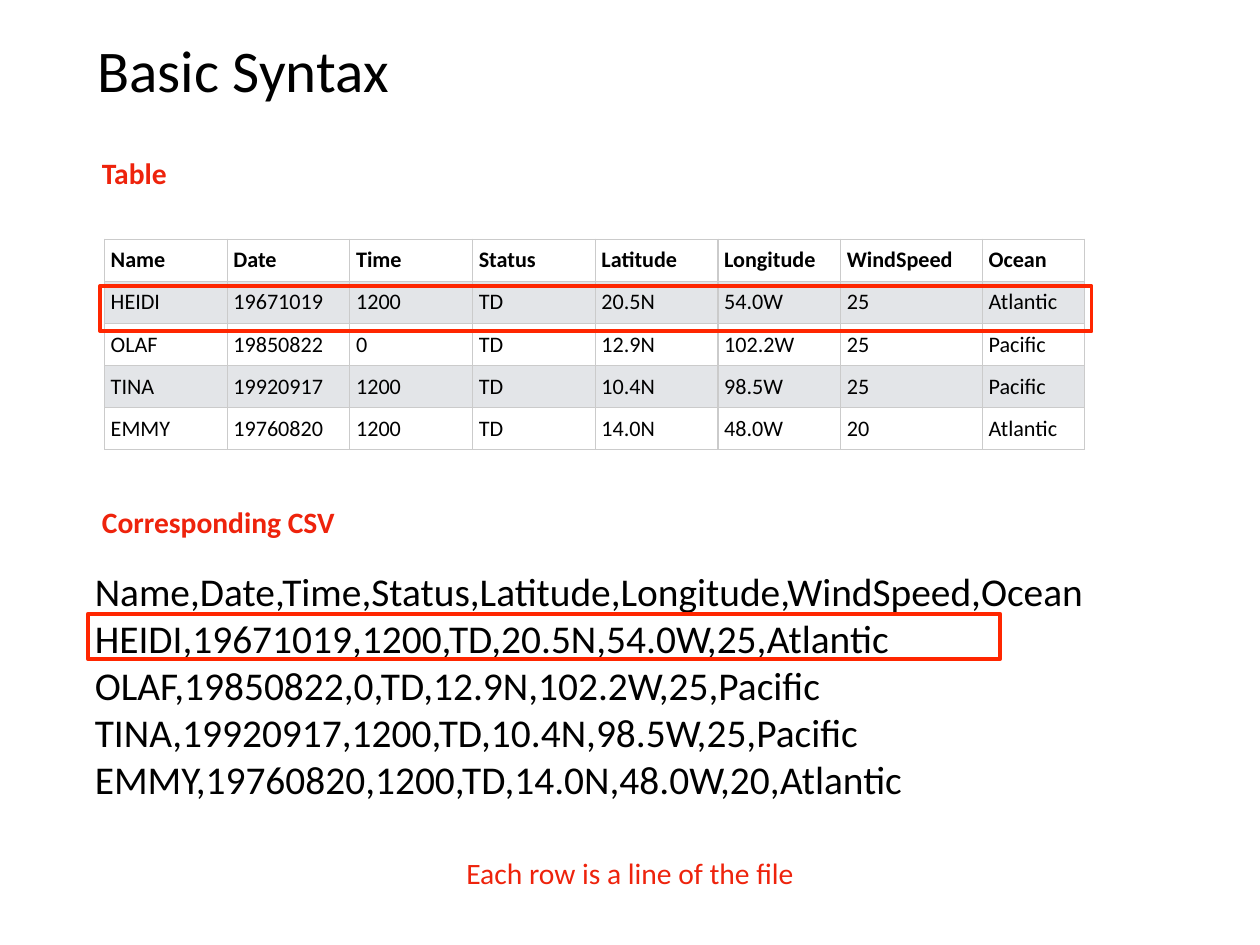
from lxml.etree import SubElement
from pptx import Presentation
from pptx.dml.color import RGBColor
from pptx.enum.shapes import MSO_SHAPE
from pptx.enum.text import MSO_ANCHOR, MSO_AUTO_SIZE, PP_ALIGN
from pptx.oxml.ns import qn
from pptx.util import Inches, Pt

# Content
TITLE = "Basic Syntax"
STORMS = [
    ("Name", "Date", "Time", "Status", "Latitude", "Longitude", "WindSpeed", "Ocean"),
    ("HEIDI", "19671019", "1200", "TD", "20.5N", "54.0W", "25", "Atlantic"),
    ("OLAF", "19850822", "0", "TD", "12.9N", "102.2W", "25", "Pacific"),
    ("TINA", "19920917", "1200", "TD", "10.4N", "98.5W", "25", "Pacific"),
    ("EMMY", "19760820", "1200", "TD", "14.0N", "48.0W", "20", "Atlantic"),
]
# Text, bold, alignment, box (left, top, width, height)
LABELS = [
    ("Table", True, PP_ALIGN.LEFT, (1.09, 1.7, 1.07, 0.5)),
    ("Corresponding CSV", True, PP_ALIGN.LEFT, (1.09, 5.64, 3.41, 0.5)),
    ("Each row is a line of the file", False, PP_ALIGN.CENTER, (5.18, 9.6, 3.86, 0.5)),
]
HIGHLIGHTS = [(1.13, 3.23, 11.19, 0.51), (0.99, 6.93, 10.3, 0.51)]

# Measures and colours
TITLE_BOX = (1.04, 0.28, 12.14, 0.99)
CSV_BOX = (1.01, 6.35, 12.72, 3.78)
TABLE_LEFT, TABLE_TOP, ROW_HEIGHT = 1.18, 2.7, 0.476
COLUMN_WIDTHS = [1.385] * 6 + [1.6, 1.15]
FONT = "Calibri"
BLACK = RGBColor(0x00, 0x00, 0x00)
WHITE = RGBColor(0xFF, 0xFF, 0xFF)
BAND_GREY = RGBColor(0xE3, 0xE5, 0xE8)
BORDER_GREY = RGBColor(0xCB, 0xCB, 0xCB)
LABEL_RED = RGBColor(0xEE, 0x23, 0x0C)
FRAME_RED = RGBColor(0xFF, 0x26, 0x00)


def set_all(target, formats):
    for name, value in formats.items():
        setattr(target, name, value)


def box(lengths):
    return [Inches(length) for length in lengths]


def place(shape, lengths):
    set_all(shape, dict(zip(("left", "top", "width", "height"), box(lengths))))


def format_frame(frame, anchor, wrap=True, auto_size=MSO_AUTO_SIZE.NONE):
    sides = ("margin_left", "margin_top", "margin_right", "margin_bottom")
    set_all(frame, dict.fromkeys(sides, Inches(0.06)))
    set_all(frame, {"vertical_anchor": anchor, "word_wrap": wrap, "auto_size": auto_size})


def format_font(font, size, color, bold=False):
    set_all(font, {"name": FONT, "size": Pt(size), "bold": bold})
    font.color.rgb = color


def add_borders(cell):
    properties = cell._tc.get_or_add_tcPr()
    for side in ("lnL", "lnR", "lnT", "lnB"):
        line = SubElement(properties, qn(f"a:{side}"), w=str(Pt(1)))
        fill = SubElement(line, qn("a:solidFill"))
        SubElement(fill, qn("a:srgbClr"), val=str(BORDER_GREY))


presentation = Presentation()
presentation.slide_width, presentation.slide_height = Inches(14.22), Inches(10.67)
slide = presentation.slides.add_slide(presentation.slide_layouts[1])
title, body = slide.shapes.title, slide.placeholders[1]

# Title
place(title, TITLE_BOX)
title.text_frame.text = TITLE
format_frame(title.text_frame, MSO_ANCHOR.MIDDLE)
title_paragraph = title.text_frame.paragraphs[0]
title_paragraph.alignment = PP_ALIGN.LEFT
format_font(title_paragraph.font, 48, BLACK)

# CSV lines, one for each table row
place(body, CSV_BOX)
body.text_frame.text = "\n".join(",".join(row) for row in STORMS)
format_frame(body.text_frame, MSO_ANCHOR.TOP)
for paragraph in body.text_frame.paragraphs:
    properties = paragraph._p.get_or_add_pPr()
    properties.set("marL", "0")
    properties.set("indent", "0")
    SubElement(properties, qn("a:buNone"))
    set_all(paragraph, {"space_before": Pt(0), "line_spacing": Pt(38.2)})
    format_font(paragraph.font, 32, BLACK)

# Storm table
table_size = (sum(COLUMN_WIDTHS), ROW_HEIGHT * len(STORMS))
table = slide.shapes.add_table(
    len(STORMS), len(COLUMN_WIDTHS), *box((TABLE_LEFT, TABLE_TOP, *table_size))
).table
for column, width in zip(table.columns, COLUMN_WIDTHS):
    column.width = Inches(width)
for row_index, row in enumerate(STORMS):
    table.rows[row_index].height = Inches(ROW_HEIGHT)
    for column_index, text in enumerate(row):
        cell = table.cell(row_index, column_index)
        cell.text = text
        set_all(cell, {
            "margin_left": Inches(0.07), "margin_right": Inches(0.07),
            "margin_top": 0, "margin_bottom": 0,
            "vertical_anchor": MSO_ANCHOR.MIDDLE,
        })
        add_borders(cell)
        cell.fill.solid()
        cell.fill.fore_color.rgb = BAND_GREY if row_index % 2 else WHITE
        format_font(cell.text_frame.paragraphs[0].font, 18, BLACK, row_index == 0)

# Red labels
for text, bold, alignment, lengths in LABELS:
    frame = slide.shapes.add_textbox(*box(lengths)).text_frame
    frame.text = text
    format_frame(frame, MSO_ANCHOR.MIDDLE, False, MSO_AUTO_SIZE.SHAPE_TO_FIT_TEXT)
    frame.paragraphs[0].alignment = alignment
    format_font(frame.paragraphs[0].font, 24, LABEL_RED, bold)

# Frames around the matching row and line
for lengths in HIGHLIGHTS:
    highlight = slide.shapes.add_shape(MSO_SHAPE.RECTANGLE, *box(lengths))
    highlight.shadow.inherit = False
    highlight.fill.background()
    highlight.line.color.rgb = FRAME_RED
    highlight.line.width = Pt(3)

presentation.save("out.pptx")
